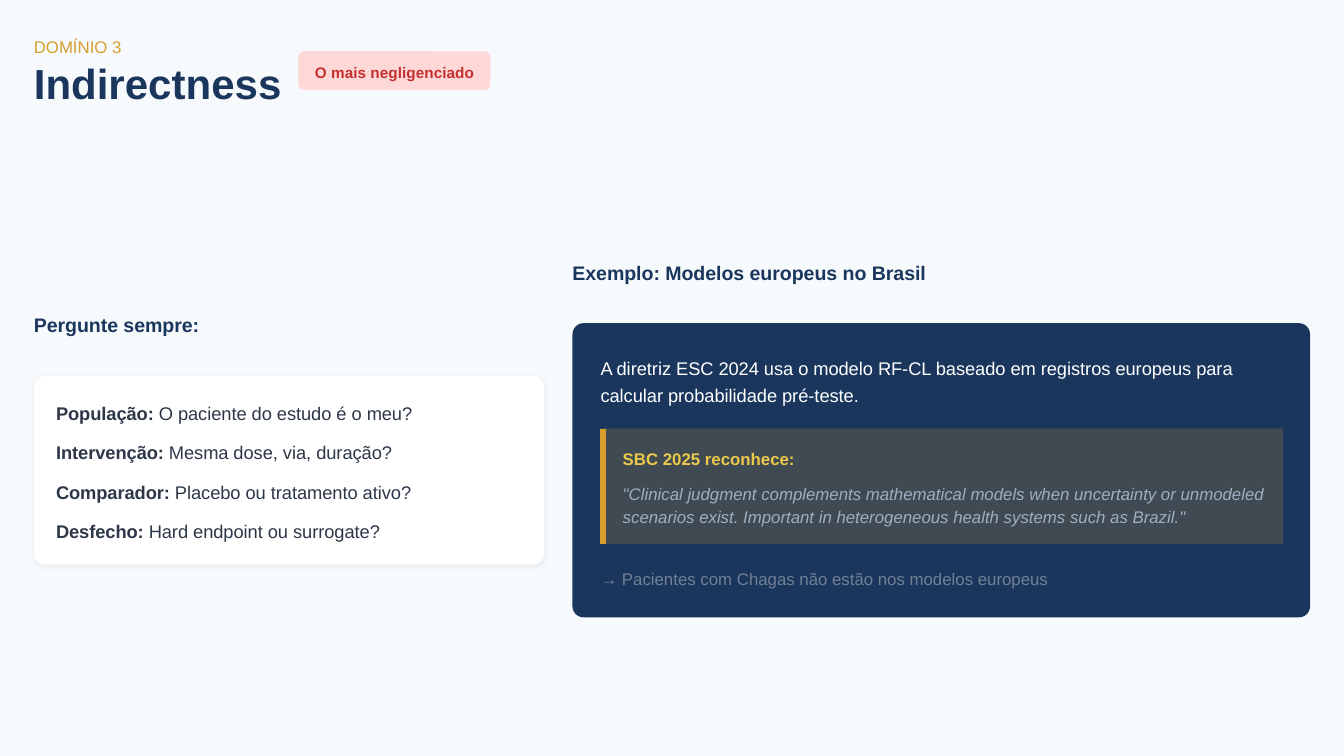
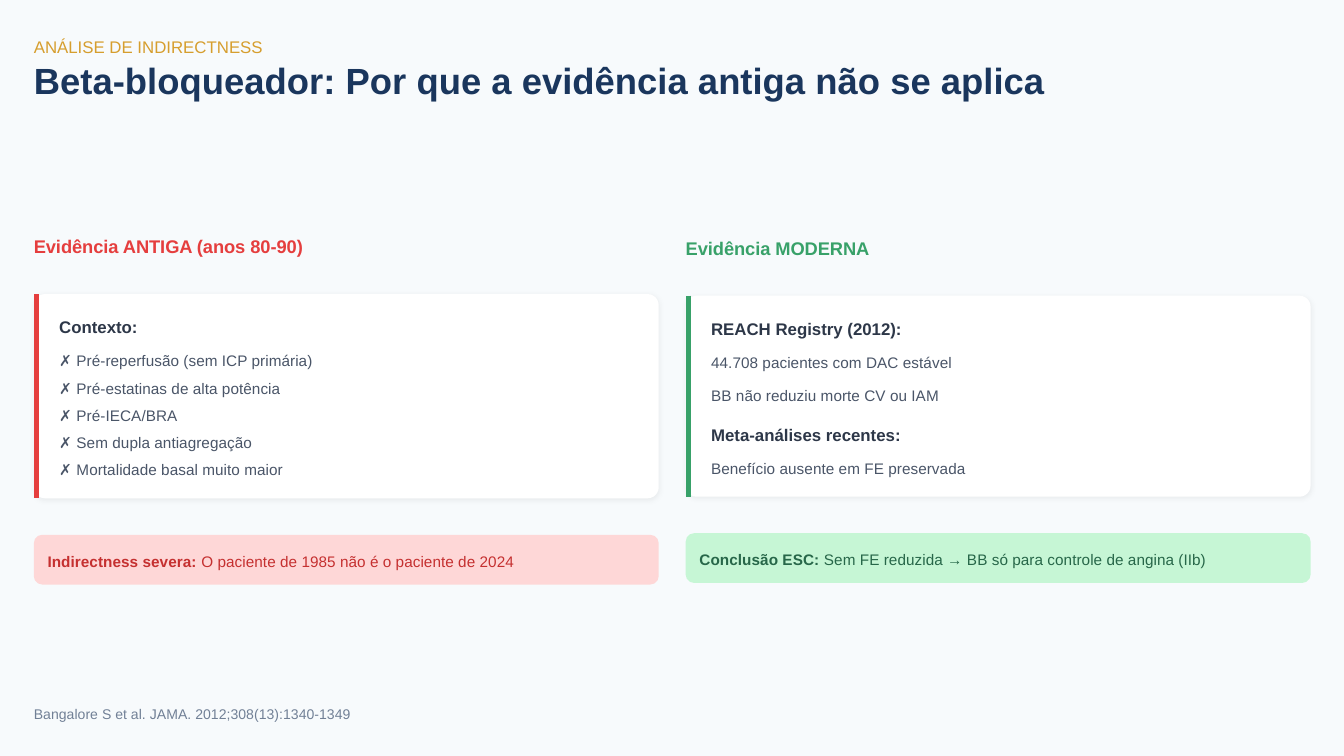
from dataclasses import dataclass

from lxml import etree
from pptx import Presentation
from pptx import util as u
from pptx.dml import color
from pptx.enum import shapes, text
from pptx.oxml import ns


@dataclass(frozen=True)
class Theme:
    font: str = "Arial"
    background: str = "F7FAFC"
    white: str = "FFFFFF"
    navy: str = "1A365D"
    gold: str = "D69E2E"
    yellow: str = "ECC94B"
    ink: str = "2D3748"
    body: str = "4A5568"
    muted: str = "718096"
    quote: str = "A0AEC0"
    red: str = "E53E3E"
    dark_red: str = "C53030"
    pale_red: str = "FED7D7"
    green: str = "38A169"
    dark_green: str = "276749"
    pale_green: str = "C6F6D5"
    shadow: str = "000000"
    title_size: float = 22.5
    long_title_size: float = 19.5
    heading_size: float = 10.5
    lead_size: float = 9.75
    text_size: float = 9
    small_size: float = 8.25
    source_size: float = 7.5
    leading: float = 1.4
    card_radius: float = 0.21
    callout_radius: float = 0.16
    badge_radius: float = 0.11
    bar_width: float = 3


@dataclass(frozen=True)
class Run:
    text: str
    color: str
    bold: bool = False
    italic: bool = False


@dataclass(frozen=True)
class Block:
    runs: tuple
    size: float
    after: float = 0
    leading: float = Theme.leading


THEME = Theme()
MARGIN = 0.64
FULL_WIDTH = 24.6
CORNER_INSET = 0.29


def labelled(label, rest, ink, size, after=0):
    return Block((Run(label, ink, bold=True), Run(" " + rest, ink)), size, after)


def single(words, ink, size, after=0, leading=Theme.leading, **style):
    return Block((Run(words, ink, **style),), size, after, leading)


class Deck:
    def __init__(self, theme):
        self.theme = theme
        self.presentation = Presentation()
        self.presentation.slide_width = u.Cm(25.4)
        self.presentation.slide_height = u.Cm(14.29)
        fill = self.presentation.slide_master.background.fill
        fill.solid()
        fill.fore_color.rgb = color.RGBColor.from_string(theme.background)
        self.slide = None

    def new_slide(self, kicker, title, size, title_width):
        layout = self.presentation.slide_layouts.get_by_name("Title Only")
        self.slide = self.presentation.slides.add_slide(layout)
        shape = self.slide.shapes.title
        shape.left, shape.top = u.Cm(MARGIN), u.Cm(1.24)
        shape.width, shape.height = u.Cm(title_width), u.Cm(0.79)
        block = single(title, self.theme.navy, size, leading=1, bold=True)
        self.fill_text(shape.text_frame, [block])
        self.textbox(MARGIN, 0.64, title_width, 0.43,
                     [single(kicker, self.theme.gold, self.theme.text_size)])

    def fill_text(self, frame, blocks, inset=0, anchor=text.MSO_ANCHOR.TOP):
        frame.word_wrap = True
        frame.auto_size = text.MSO_AUTO_SIZE.NONE
        frame.vertical_anchor = anchor
        frame.margin_left = u.Cm(inset)
        frame.margin_top = frame.margin_right = frame.margin_bottom = 0
        for index, block in enumerate(blocks):
            paragraph = frame.add_paragraph() if index else frame.paragraphs[0]
            paragraph.alignment = text.PP_ALIGN.LEFT
            paragraph.line_spacing = u.Pt(block.size * block.leading)
            paragraph.space_before = u.Pt(0)
            paragraph.space_after = u.Pt(block.after)
            for part in block.runs:
                run = paragraph.add_run()
                run.text = part.text
                run.font.name = self.theme.font
                run.font.size = u.Pt(block.size)
                run.font.bold = part.bold
                run.font.italic = part.italic
                run.font.color.rgb = color.RGBColor.from_string(part.color)

    def textbox(self, left, top, width, height, blocks):
        shape = self.slide.shapes.add_textbox(
            u.Cm(left), u.Cm(top), u.Cm(width), u.Cm(height))
        self.fill_text(shape.text_frame, blocks)

    def panel(self, left, top, width, height, fill, blocks=(), radius=0, inset=0):
        kind = shapes.MSO_SHAPE.ROUNDED_RECTANGLE if radius else shapes.MSO_SHAPE.RECTANGLE
        shape = self.slide.shapes.add_shape(
            kind, u.Cm(left), u.Cm(top), u.Cm(width), u.Cm(height))
        if radius:
            shape.adjustments[0] = radius / min(width, height)
        shape.shadow.inherit = False
        shape.fill.solid()
        shape.fill.fore_color.rgb = color.RGBColor.from_string(fill)
        shape.line.fill.background()
        if blocks:
            self.fill_text(shape.text_frame, blocks, inset - radius * CORNER_INSET,
                           text.MSO_ANCHOR.MIDDLE)
        return shape

    def card(self, left, top, width, height, blocks, inset):
        shape = self.panel(left, top, width, height, self.theme.white, blocks,
                           self.theme.card_radius, inset)
        effects = shape.element.spPr.find(ns.qn("a:effectLst"))
        shadow = etree.SubElement(
            effects, ns.qn("a:outerShdw"), blurRad=str(int(u.Pt(3))),
            dist=str(int(u.Pt(0.8))), dir="5400000", algn="ctr", rotWithShape="0")
        ink = etree.SubElement(shadow, ns.qn("a:srgbClr"), val=self.theme.shadow)
        etree.SubElement(ink, ns.qn("a:alpha"), val="6000")

    def bar(self, left, top, height, ink):
        x = u.Cm(left + 0.05)
        connector = self.slide.shapes.add_connector(
            shapes.MSO_CONNECTOR.STRAIGHT, x, u.Cm(top), x, u.Cm(top + height))
        connector.line.color.rgb = color.RGBColor.from_string(ink)
        connector.line.width = u.Pt(self.theme.bar_width)
        etree.SubElement(connector.element.spPr, ns.qn("a:effectLst"))

    def quote(self, left, top, width, height, blocks):
        shape = self.panel(left, top, width, height, self.theme.gold, blocks, inset=0.42)
        ink = shape.element.spPr.find(f"{ns.qn('a:solidFill')}/{ns.qn('a:srgbClr')}")
        etree.SubElement(ink, ns.qn("a:alpha"), val="20000")
        self.bar(left, top, height, self.theme.gold)

    def evidence_column(self, left, shift, heading, accent, blocks, callout, pale):
        width = 11.81
        card_top, card_height = 5.56 + shift, 3.86 - 2 * shift
        self.textbox(left, 4.39 + shift, width, 0.48,
                     [single(heading, accent, self.theme.lead_size, bold=True)])
        self.card(left, card_top, width, card_height, blocks, 0.48)
        self.bar(left, card_top, card_height, accent)
        self.panel(left, 10.11 - shift, width, 0.94, pale, [callout],
                   self.theme.callout_radius, 0.26)


def indirectness_slide(deck):
    theme = deck.theme
    deck.new_slide("DOMÍNIO 3", "Indirectness", theme.title_size, 4.8)
    deck.panel(5.64, 0.97, 3.63, 0.73, theme.pale_red,
               [single("O mais negligenciado", theme.dark_red, theme.small_size, bold=True)],
               theme.badge_radius, 0.31)

    questions = [
        ("População:", "O paciente do estudo é o meu?"),
        ("Intervenção:", "Mesma dose, via, duração?"),
        ("Comparador:", "Placebo ou tratamento ativo?"),
        ("Desfecho:", "Hard endpoint ou surrogate?"),
    ]
    deck.textbox(MARGIN, 5.84, 9.86, 0.51,
                 [single("Pergunte sempre:", theme.navy, theme.heading_size, bold=True)])
    deck.card(MARGIN, 7.11, 9.65, 3.56,
              [labelled(label, question, theme.ink, theme.lead_size,
                        0 if label == questions[-1][0] else 7.5)
               for label, question in questions], 0.42)

    example_left, inner_left = 10.82, 11.35
    deck.textbox(example_left, 4.85, 14.2, 0.51,
                 [single("Exemplo: Modelos europeus no Brasil", theme.navy,
                         theme.heading_size, bold=True)])
    deck.panel(example_left, 6.11, 13.94, 5.56, theme.navy, radius=theme.card_radius)
    deck.textbox(inner_left, 6.65, 13.16, 1.04,
                 [single("A diretriz ESC 2024 usa o modelo RF-CL baseado em registros "
                         "europeus para calcular probabilidade pré-teste.",
                         theme.white, theme.lead_size, leading=1.5)])
    deck.quote(inner_left, 8.1, 12.9, 2.18, [
        single("SBC 2025 reconhece:", theme.yellow, theme.text_size, 6, bold=True),
        single('"Clinical judgment complements mathematical models when uncertainty or '
               "unmodeled scenarios exist. Important in heterogeneous health systems "
               'such as Brazil."', theme.quote, theme.text_size, italic=True),
    ])
    deck.textbox(inner_left, 10.69, 13.16, 0.43,
                 [single("→ Pacientes com Chagas não estão nos modelos europeus",
                         theme.muted, theme.text_size)])


def beta_blocker_slide(deck):
    theme = deck.theme

    def topic(words):
        return single(words, theme.ink, theme.text_size, 6, bold=True)

    def detail(words, after=0):
        return single(words, theme.body, theme.small_size, after)

    deck.new_slide("ANÁLISE DE INDIRECTNESS",
                   "Beta-bloqueador: Por que a evidência antiga não se aplica",
                   theme.long_title_size, 19.5)
    missing = ["Pré-reperfusão (sem ICP primária)", "Pré-estatinas de alta potência",
               "Pré-IECA/BRA", "Sem dupla antiagregação"]
    deck.evidence_column(
        MARGIN, 0, "Evidência ANTIGA (anos 80-90)", theme.red,
        [topic("Contexto:"), *(detail("✗ " + item, 3) for item in missing),
         detail("✗ Mortalidade basal muito maior")],
        labelled("Indirectness severa:", "O paciente de 1985 não é o paciente de 2024",
                 theme.dark_red, theme.small_size),
        theme.pale_red)
    deck.evidence_column(
        12.96, 0.03, "Evidência MODERNA", theme.green,
        [topic("REACH Registry (2012):"),
         detail("44.708 pacientes com DAC estável", 6),
         detail("BB não reduziu morte CV ou IAM", 9),
         topic("Meta-análises recentes:"),
         detail("Benefício ausente em FE preservada")],
        labelled("Conclusão ESC:", "Sem FE reduzida → BB só para controle de angina (IIb)",
                 theme.dark_green, theme.small_size),
        theme.pale_green)
    deck.textbox(MARGIN, 13.28, FULL_WIDTH, 0.38,
                 [single("Bangalore S et al. JAMA. 2012;308(13):1340-1349",
                         theme.muted, theme.source_size)])


def main():
    deck = Deck(THEME)
    indirectness_slide(deck)
    beta_blocker_slide(deck)
    deck.presentation.save("out.pptx")


if __name__ == "__main__":
    main()
